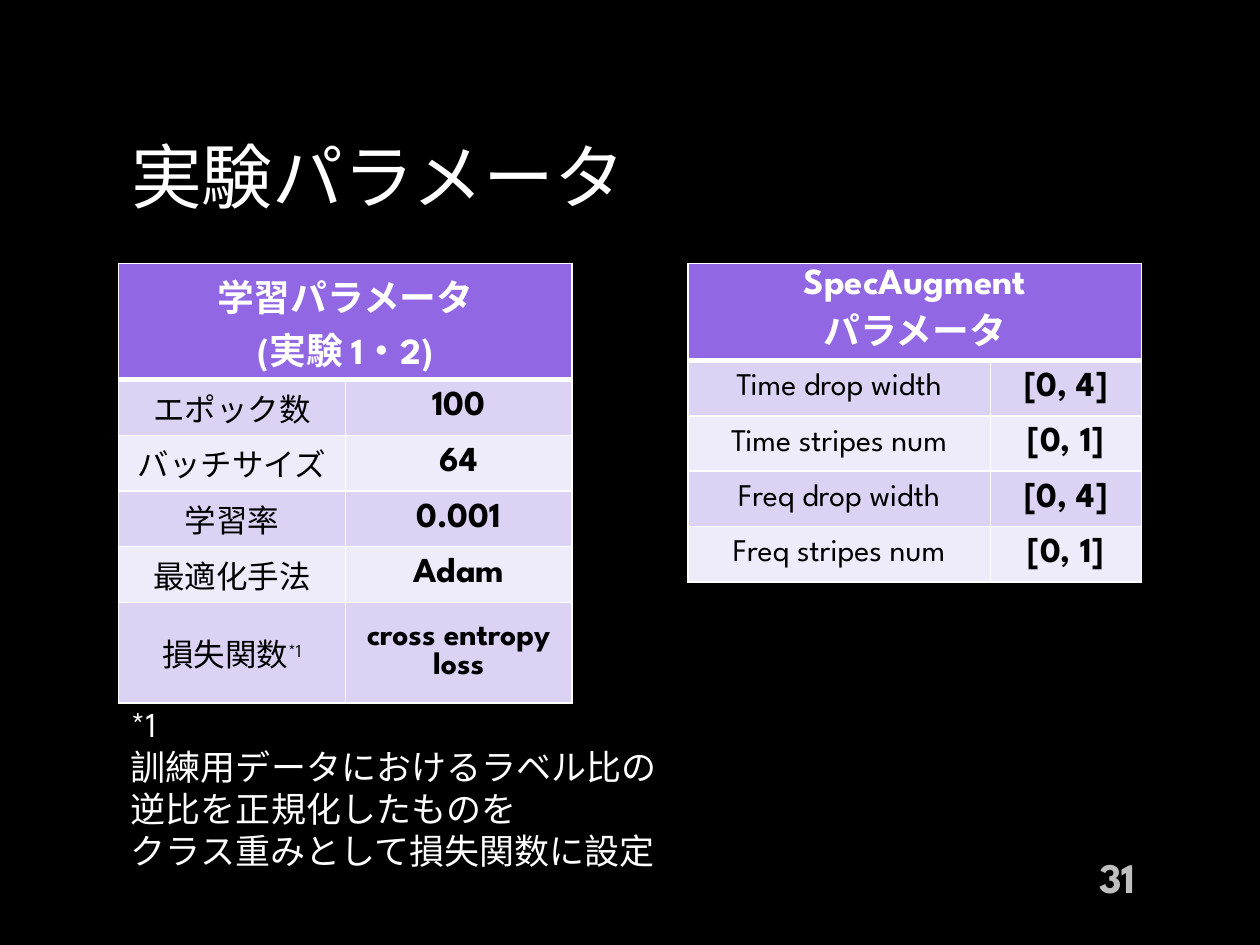
from lxml import etree
from pptx import Presentation
from pptx.dml.color import RGBColor
from pptx.enum.text import MSO_ANCHOR as ANCHOR, PP_ALIGN as ALIGN
from pptx.oxml.ns import qn
from pptx.util import Inches, Pt

FONT = "League Spartan"
BLACK = RGBColor(0x00, 0x00, 0x00)
WHITE = RGBColor(0xFF, 0xFF, 0xFF)
GRAY = RGBColor(0xBF, 0xBF, 0xBF)
PURPLE = RGBColor(0x91, 0x67, 0xE3)
LILAC = RGBColor(0xDC, 0xD3, 0xF4)
PALE = RGBColor(0xEE, 0xEB, 0xFA)


def add_run(p, text, size, color, bold=False):
    r = p.add_run()
    r.text = text
    r.font.name = FONT
    r.font.size = Pt(size)
    r.font.bold = bold
    r.font.color.rgb = color
    return r


def style_cell(cell, fill, bottom=1):
    cell.vertical_anchor = ANCHOR.MIDDLE
    cell.margin_left = cell.margin_right = Inches(0.07)
    cell.margin_top = cell.margin_bottom = Inches(0.04)
    tc_pr = cell._tc.get_or_add_tcPr()
    for side, width in (("L", 1), ("R", 1), ("T", 1), ("B", bottom)):
        ln = etree.SubElement(tc_pr, qn(f"a:ln{side}"), w=str(Pt(width)))
        solid = etree.SubElement(ln, qn("a:solidFill"))
        etree.SubElement(solid, qn("a:srgbClr"), val=str(WHITE))
    cell.fill.solid()
    cell.fill.fore_color.rgb = fill


prs = Presentation()
prs.slide_width = Inches(10)
prs.slide_height = Inches(7.5)
s = prs.slides.add_slide(prs.slide_layouts[5])
s.background.fill.solid()
s.background.fill.fore_color.rgb = BLACK

title = s.shapes.title
title.left, title.top = Inches(0.94), Inches(0.94)
title.width, title.height = Inches(8.12), Inches(0.9)
title.text_frame.vertical_anchor = ANCHOR.MIDDLE
p = title.text_frame.paragraphs[0]
p.alignment = ALIGN.LEFT
add_run(p, "実験パラメータ", 40.5, WHITE)

tables = [
    (0.94, (1.8, 1.8), ("学習パラメータ", "(実験 1・2)"), [
        ("エポック数", "100", 20, 0.44),
        ("バッチサイズ", "64", 20, 0.44),
        ("学習率", "0.001", 20, 0.44),
        ("最適化手法", "Adam", 20, 0.44),
        ("損失関数", "cross entropy loss", 18, 0.8),
    ]),
    (5.46, (2.4, 1.2), ("SpecAugment", "パラメータ"), [
        ("Time drop width", "[0, 4]", 20, 0.44),
        ("Time stripes num", "[0, 1]", 20, 0.44),
        ("Freq drop width", "[0, 4]", 20, 0.44),
        ("Freq stripes num", "[0, 1]", 20, 0.44),
    ]),
]
for left, widths, header, rows in tables:
    height = 0.5 + sum(row[3] for row in rows)
    table = s.shapes.add_table(len(rows) + 1, 2, Inches(left), Inches(2.09),
                               Inches(sum(widths)), Inches(height)).table
    for column, width in zip(table.columns, widths):
        column.width = Inches(width)
    table.rows[0].height = Inches(0.5)

    head = table.cell(0, 0)
    head.merge(table.cell(0, 1))
    for cell in table.rows[0].cells:
        style_cell(cell, PURPLE, bottom=3)
    tf = head.text_frame
    for i, line in enumerate(header):
        p = tf.add_paragraph() if i else tf.paragraphs[0]
        p.alignment = ALIGN.CENTER
        add_run(p, line, 21, WHITE, bold=True)

    for i, (label, value, size, row_height) in enumerate(rows, 1):
        table.rows[i].height = Inches(row_height)
        texts = ((label, 18, False), (value, size, True))
        for cell, (text, text_size, bold) in zip(table.rows[i].cells, texts):
            style_cell(cell, LILAC if i % 2 else PALE)
            p = cell.text_frame.paragraphs[0]
            p.alignment = ALIGN.CENTER
            add_run(p, text, text_size, BLACK, bold)
        if label == "損失関数":
            p = table.cell(i, 0).text_frame.paragraphs[0]
            mark = add_run(p, "*1", 18, BLACK)
            mark.font._element.set("baseline", "30000")

note = s.shapes.add_textbox(Inches(0.94), Inches(5.53), Inches(4.4), Inches(1.45))
tf = note.text_frame
tf.word_wrap = True
note_lines = ("*1", "訓練用データにおけるラベル比の",
              "逆比を正規化したものを", "クラス重みとして損失関数に設定")
for i, line in enumerate(note_lines):
    p = tf.add_paragraph() if i else tf.paragraphs[0]
    p.line_spacing = 1.0
    add_run(p, line, 20, WHITE)

number = s.shapes.add_textbox(Inches(7.81), Inches(6.76), Inches(1.3), Inches(0.4))
tf = number.text_frame
tf.word_wrap = True
tf.vertical_anchor = ANCHOR.MIDDLE
p = tf.paragraphs[0]
p.alignment = ALIGN.RIGHT
add_run(p, "31", 24, GRAY, bold=True)

prs.save("out.pptx")
